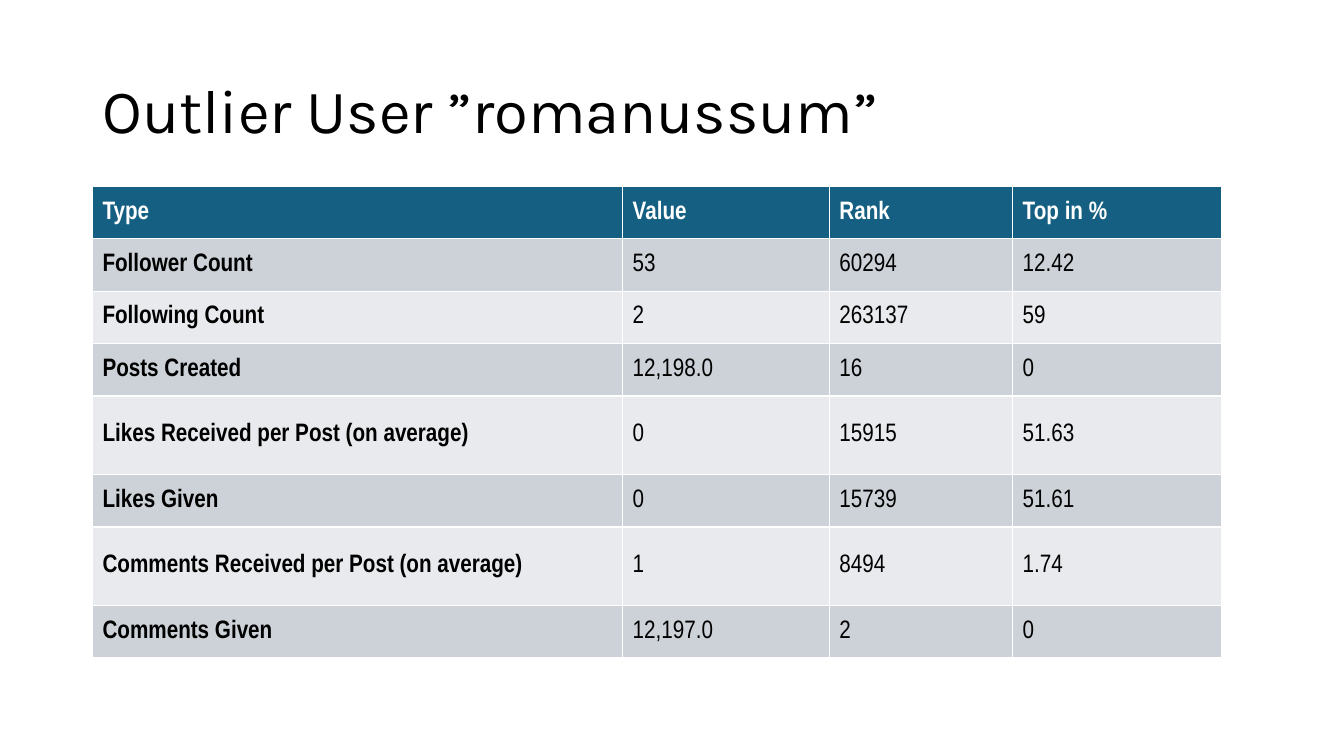
"""Build a slide with a table of one outlier user's activity."""
from dataclasses import dataclass

from pptx import Presentation
from pptx.dml.color import RGBColor as Rgb
from pptx.enum.text import MSO_ANCHOR as Anchor, MSO_AUTO_SIZE as Fit, PP_ALIGN as Align
from pptx.util import Cm, Pt


@dataclass(frozen=True)
class Theme:
    ink: str = "000000"
    paper: str = "FFFFFF"
    head: str = "156082"
    bands: tuple = ("CCD2D8", "E8EAED")
    title_font: str = "Karla"
    cell_font: str = "Arial Narrow"
    title_size: int = 44
    cell_size: int = 18


class Deck:
    def __init__(self, theme):
        self.theme = theme
        self.show = Presentation()
        self.show.slide_width, self.show.slide_height = Cm(33.87), Cm(19.05)
        self.slide = self.show.slides.add_slide(self.show.slide_layouts[5])

    def style(self, para, name, size, color, bold=False):
        para.alignment = Align.LEFT
        font = para.font
        font.name, font.size, font.bold = name, Pt(size), bold
        font.color.rgb = Rgb.from_string(color)

    def title(self, text, left, top, width, height):
        box = self.slide.shapes.title
        box.left, box.top, box.width, box.height = map(Cm, (left, top, width, height))
        frame = box.text_frame
        frame.text = text
        frame.word_wrap, frame.auto_size = True, Fit.NONE
        frame.vertical_anchor = Anchor.MIDDLE
        para = frame.paragraphs[0]
        para.line_spacing = 0.9
        self.style(para, self.theme.title_font, self.theme.title_size, self.theme.ink)

    def table(self, data, left, top, widths, heights):
        size = map(Cm, (left, top, sum(widths), sum(heights)))
        grid = self.slide.shapes.add_table(len(data), len(widths), *size).table
        for col, width in zip(grid.columns, widths):
            col.width = Cm(width)
        for r, (row, height) in enumerate(zip(data, heights)):
            grid.rows[r].height = Cm(height)
            for c, text in enumerate(row):
                self.cell(grid.cell(r, c), text, r, c)

    def cell(self, cell, text, r, c):
        theme = self.theme
        head = r == 0
        cell.text = text
        cell.vertical_anchor = Anchor.MIDDLE
        cell.fill.solid()
        fill = theme.head if head else theme.bands[(r - 1) % 2]
        cell.fill.fore_color.rgb = Rgb.from_string(fill)
        color = theme.paper if head else theme.ink
        self.style(cell.text_frame.paragraphs[0], theme.cell_font,
                   theme.cell_size, color, head or c == 0)

    def save(self):
        self.show.save("out.pptx")


STATS = [
    ("Type", "Value", "Rank", "Top in %"),
    ("Follower Count", "53", "60294", "12.42"),
    ("Following Count", "2", "263137", "59"),
    ("Posts Created", "12,198.0", "16", "0"),
    ("Likes Received per Post (on average)", "0", "15915", "51.63"),
    ("Likes Given", "0", "15739", "51.61"),
    ("Comments Received per Post (on average)", "1", "8494", "1.74"),
    ("Comments Given", "12,197.0", "2", "0"),
]


def main():
    deck = Deck(Theme())
    deck.title("Outlier User ”romanussum”", 2.33, 1.01, 29.21, 3.68)
    heights = [1.98 if "average" in row[0] else 1.32 for row in STATS]
    deck.table(STATS, 2.33, 4.7, (13.36, 5.21, 4.62, 5.26), heights)
    deck.save()


if __name__ == "__main__":
    main()
